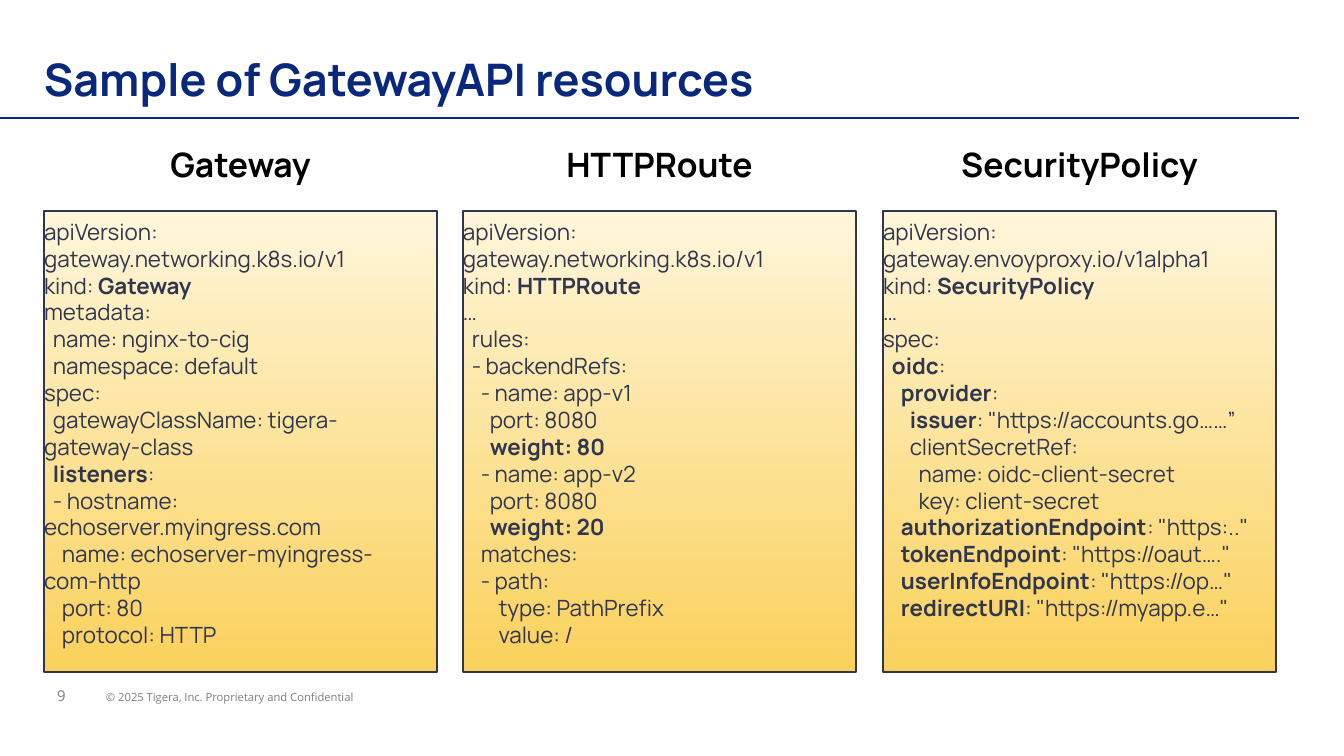
from pptx import Presentation
from pptx.dml.color import RGBColor
from pptx.enum.shapes import MSO_CONNECTOR as Connector, MSO_SHAPE as Shape
from pptx.enum.text import MSO_ANCHOR as Anchor, PP_ALIGN as Align
from pptx.oxml.ns import qn
from pptx.util import Pt
from lxml.etree import SubElement

WIDTH, HEIGHT = 1344, 756
SCALE = 9144000 / WIDTH
NAVY, INK, GRAY, BLACK = "09287D", "2F364E", "7F7F7F", "000000"
GRADIENT = ["FFF6DB", "FAD15C"]

GATEWAY = """apiVersion: gateway.networking.k8s.io/v1
kind: **Gateway**
metadata:
  name: nginx-to-cig
  namespace: default
spec:
  gatewayClassName: tigera-gateway-class
  **listeners**:
  - hostname: echoserver.myingress.com
    name: echoserver-myingress-com-http
    port: 80
    protocol: HTTP"""

HTTP_ROUTE = """apiVersion: gateway.networking.k8s.io/v1
kind: **HTTPRoute**
…
  rules:
  - backendRefs:
    - name: app-v1
      port: 8080
      **weight: 80**
    - name: app-v2
      port: 8080
      **weight: 20**
    matches:
    - path:
        type: PathPrefix
        value: /"""

SECURITY_POLICY = """apiVersion: gateway.envoyproxy.io/v1alpha1
kind: **SecurityPolicy**
…
spec:
  **oidc**:
    **provider**:
      **issuer**: "https://accounts.go……”
      clientSecretRef:
        name: oidc-client-secret
        key: client-secret
    **authorizationEndpoint**: "https:.."
    **tokenEndpoint**: "https://oaut…."
    **userInfoEndpoint**: "https://op…"
    **redirectURI**: "https://myapp.e…\""""

RESOURCES = [
    ("Gateway", GATEWAY),
    ("HTTPRoute", HTTP_ROUTE),
    ("SecurityPolicy", SECURITY_POLICY),
]


def px(length):
    return round(length * SCALE)


def color(value):
    return RGBColor.from_string(value)


def set_frame(frame, anchor, side, vertical=7, right=None):
    frame.word_wrap = True
    frame.vertical_anchor = anchor
    frame.margin_left = px(side)
    frame.margin_right = px(side if right is None else right)
    frame.margin_top = frame.margin_bottom = px(vertical)


def set_font(paragraph, name, size, fill, bold=False):
    font = paragraph.font
    font.name, font.size, font.bold = name, Pt(size), bold
    font.color.rgb = color(fill)


def add_label(slide, box, text, name, size, fill, bold=False, side=13, vertical=7):
    shape = slide.shapes.add_textbox(*map(px, box))
    set_frame(shape.text_frame, Anchor.MIDDLE, side, vertical)
    paragraph = shape.text_frame.paragraphs[0]
    paragraph.text = text
    set_font(paragraph, name, size, fill, bold)
    return paragraph


def add_rule(slide, y, right):
    line = slide.shapes.add_connector(Connector.STRAIGHT, 0, px(y), px(right), px(y))
    line.line.color.rgb = color(NAVY)
    line.line.width = Pt(1.5)
    SubElement(line._element.spPr, qn("a:effectLst"))


def add_code_panel(slide, box, code):
    shape = slide.shapes.add_shape(Shape.RECTANGLE, *map(px, box))
    shape.shadow.inherit = False
    shape.fill.gradient()
    shape.fill.gradient_angle = 270
    for stop, value in zip(shape.fill.gradient_stops, GRADIENT):
        stop.color.rgb = color(value)
    shape.line.color.rgb = color(INK)
    shape.line.width = Pt(0.75)
    frame = shape.text_frame
    set_frame(frame, Anchor.TOP, 0, right=13)
    for index, line in enumerate(code.splitlines()):
        paragraph = frame.add_paragraph() if index else frame.paragraphs[0]
        paragraph.alignment = Align.LEFT
        paragraph.line_spacing = Pt(14.4)
        set_font(paragraph, "Manrope", 12, INK)
        for part, text in enumerate(line.split("**")):
            if text:
                run = paragraph.add_run()
                run.text = text
                if part % 2:
                    run.font.bold = True


def main():
    presentation = Presentation()
    presentation.slide_width = px(WIDTH)
    presentation.slide_height = px(HEIGHT)
    slide = presentation.slides.add_slide(presentation.slide_layouts[6])

    add_label(slide, (93, 683, 276, 27),
              "© 2025 Tigera, Inc. Proprietary and Confidential", "Open Sans", 6, GRAY)
    add_label(slide, (44, 680, 48, 32), "9", "Open Sans", 8, GRAY)
    add_rule(slide, 118, 1299)
    title = add_label(slide, (44, 32, 1231, 73), "Sample of GatewayAPI resources",
                      "Manrope", 24, NAVY, bold=True, side=0)
    title.line_spacing = 1.39

    for column, (name, code) in enumerate(RESOURCES):
        left = 44 + column * 839 // 2
        add_code_panel(slide, (left, 211, 393, 461), code)
        heading = add_label(slide, (left, 133, 393, 63), name,
                            "Manrope", 18, BLACK, bold=True, vertical=13)
        heading.alignment = Align.CENTER

    presentation.save("out.pptx")


if __name__ == "__main__":
    main()
